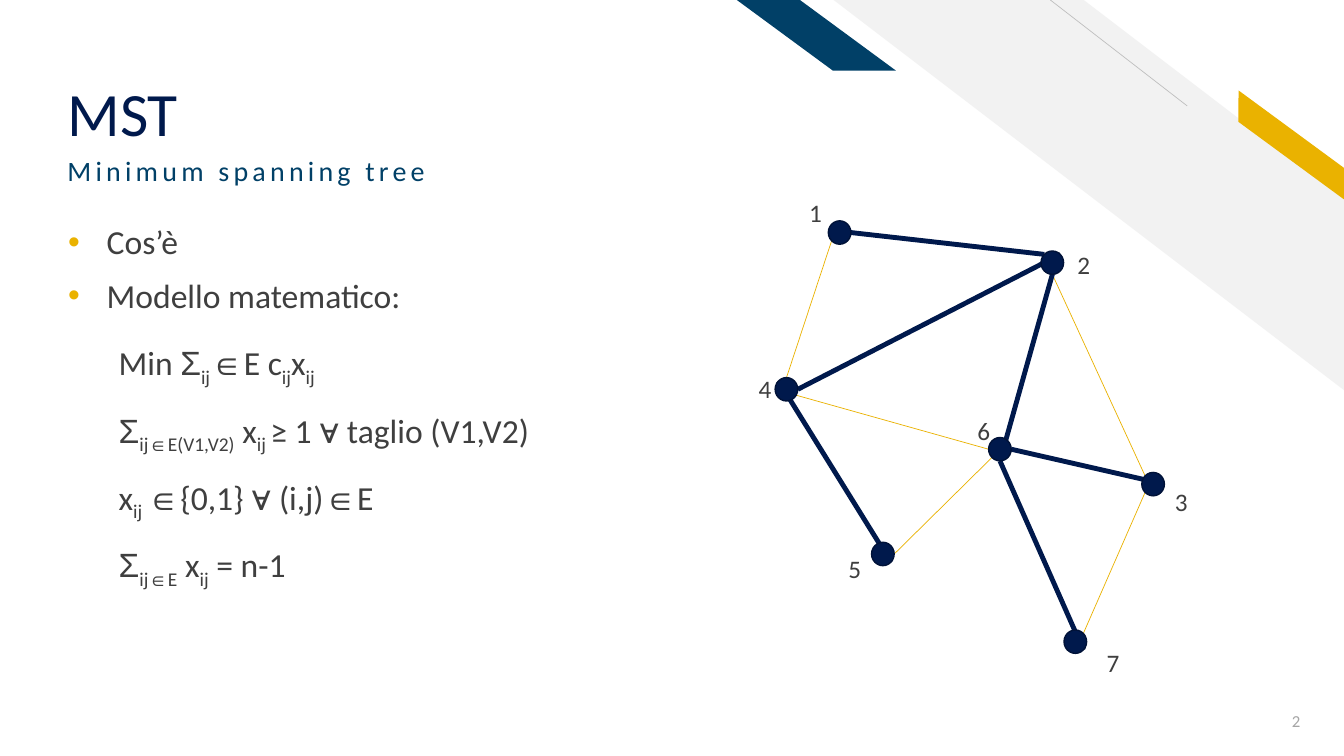
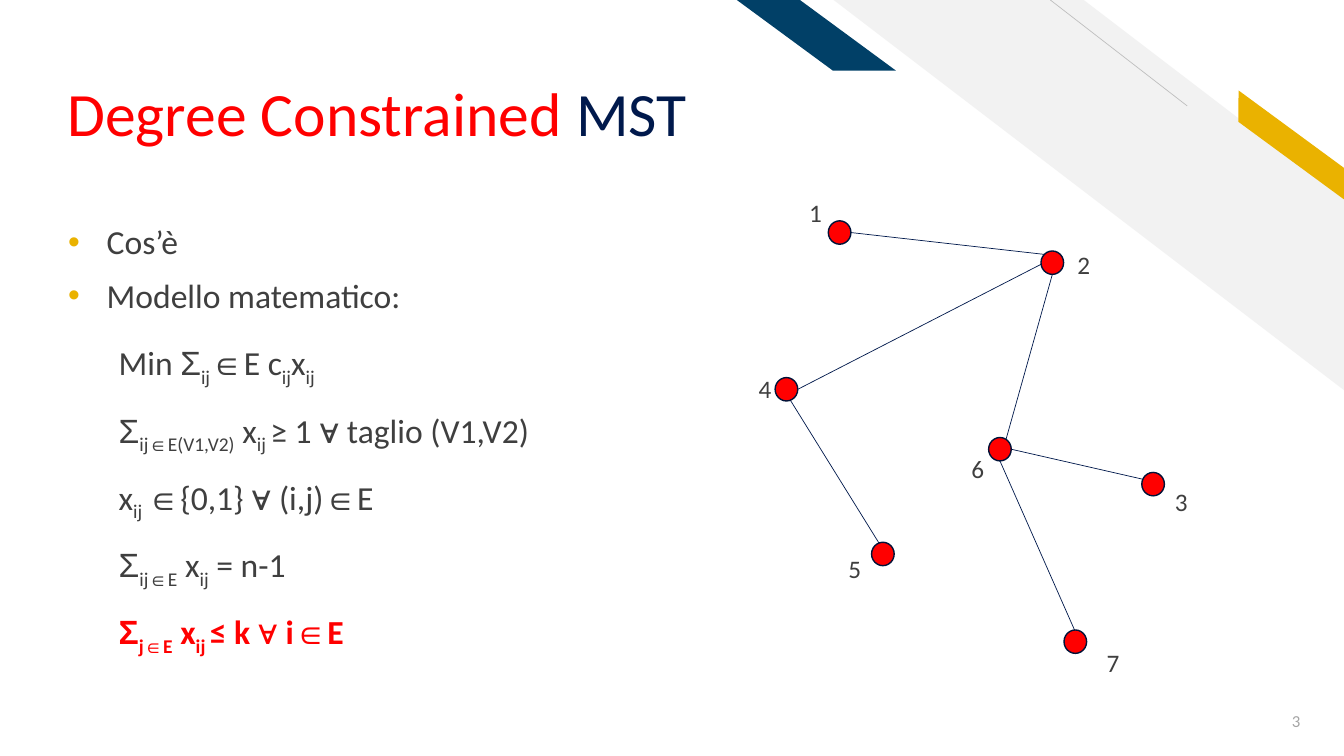
from itertools import groupby

from lxml import etree
from pptx import Presentation
from pptx.dml.color import RGBColor
from pptx.enum import shapes, text
from pptx.oxml.ns import qn
from pptx.util import Cm, Pt

NAVY = RGBColor(0x00, 0x19, 0x4C)
EDGE = RGBColor(0x00, 0x12, 0x38)
BLUE = RGBColor(0x01, 0x40, 0x67)
GOLD = RGBColor(0xEA, 0xB2, 0x00)
RED = RGBColor(0xFF, 0x00, 0x00)
INK = RGBColor(0x3F, 0x3F, 0x3F)
PALE = RGBColor(0xF2, 0xF2, 0xF2)
RULE = RGBColor(0xBF, 0xBF, 0xBF)
GREY = RGBColor(0xA5, 0xA5, 0xA5)
FONT, MATH = "Calibri", "Arial"
SIGNS = "Σ∈∀"

# Node centres, label corners and node size, in centimetres
NODES = {1: (21.16, 5.86), 2: (26.52, 6.62), 3: (29.06, 12.2), 4: (19.82, 9.81),
         5: (22.25, 13.96), 6: (25.2, 11.32), 7: (27.1, 16.17)}
LABELS = {1: (20.14, 4.85), 2: (26.9, 6.17), 3: (29.36, 12.14), 4: (18.87, 9.27),
          5: (21.13, 13.82), 6: (24.38, 10.34), 7: (27.64, 16.18)}
WIDE, HIGH = 0.57, 0.59

# Edges join compass points on two nodes
TREE = [(1, "E", 2, "NW"), (2, "S", 6, "S"), (4, "E", 2, "NE"),
        (6, "E", 3, "E"), (7, "SE", 6, "S"), (4, "NW", 5, "SE")]
SPARE = [(2, "S", 3, "NW"), (4, "W", 6, "W"), (1, "SW", 4, "N"),
         (5, "E", 6, "SW"), (7, "NE", 3, "SW")]

# Underscores open and close a subscript
MODEL = ["Min Σ_ij_∈E c_ij_x_ij_",
         "Σ_ij∈E(V1,V2)_ x_ij _≥ 1 ∀ taglio (V1,V2)",
         "x_ij _∈{0,1} ∀ (i,j)∈E",
         "Σ_ij∈E_ x_ij_ = n-1"]
LIMIT = "Σ_j∈E_ x_ij _≤ k ∀ i∈E"


def write(par, words, size=24, color=INK, bold=False, gap=0):
    """Add runs: math signs get their own font, _.._ is set as subscript."""
    for i, part in enumerate(words.split("_")):
        for sign, chars in groupby(part, lambda c: c in SIGNS):
            run = par.add_run()
            run.text = "".join(chars)
            font = run.font
            font.name = MATH if sign else FONT
            font.size, font.bold = Pt(size), bold
            font.color.rgb = color
            props = run._r.get_or_add_rPr()
            if i % 2:
                props.set("baseline", "-25000")
            if gap:
                props.set("spc", str(gap * 100))


def space(par, line=0.9, before=10, after=0, left=0, dot=False):
    """Set paragraph spacing and indent, with a gold bullet if dot."""
    par.line_spacing = line
    par.space_before, par.space_after = Pt(before), Pt(after)
    props = par._p.get_or_add_pPr()
    props.set("marL", str(Cm(left)))
    props.set("indent", str(-Cm(left) if dot else 0))
    if dot:
        tint = etree.SubElement(props, qn("a:buClr"))
        etree.SubElement(tint, qn("a:srgbClr")).set("val", str(GOLD))
        etree.SubElement(props, qn("a:buFont")).set("typeface", MATH)
        etree.SubElement(props, qn("a:buChar")).set("char", "•")


def site(node, side):
    """Return the compass point of a node's outline."""
    x, y = NODES[node]
    k = 0.71 if len(side) == 2 else 1
    dx = ("E" in side) - ("W" in side)
    dy = ("S" in side) - ("N" in side)
    return x + dx * k * WIDE / 2, y + dy * k * HIGH / 2


class Deck:
    def __init__(self):
        self.prs = Presentation()
        self.prs.slide_width, self.prs.slide_height = Cm(33.87), Cm(19.05)

    def page(self, num):
        """Start a slide with the corner bands and the page number."""
        self.slide = self.prs.slides.add_slide(self.prs.slide_layouts[6])
        kind = shapes.MSO_SHAPE
        self.shape(kind.DIAGONAL_STRIPE, (21.01, 0, 12.86, 9.83), PALE,
                   adj=0.51, flip=True)
        self.line((29.92, 2.67), (26.47, 0), RULE)
        self.shape(kind.PARALLELOGRAM, (30.66, 3.33, 3.76, 0.64), GOLD,
                   adj=0.72, flip=True, turn=36.3)
        self.shape(kind.PARALLELOGRAM, (18.57, 0, 4.01, 1.78), BLUE,
                   adj=1.36, flip=True)
        par = self.text((30.96, 17.65, 2.06, 1.02), str(num), size=12,
                        color=GREY, anchor=text.MSO_ANCHOR.MIDDLE)
        par.alignment = text.PP_ALIGN.RIGHT

    def shape(self, kind, box, fill, edge=None, adj=None, flip=False, turn=0):
        item = self.slide.shapes.add_shape(kind, *map(Cm, box))
        item.shadow.inherit = False
        item.fill.solid()
        item.fill.fore_color.rgb = fill
        if edge is None:
            item.line.fill.background()
        else:
            item.line.color.rgb, item.line.width = edge, Pt(1)
        if adj is not None:
            item.adjustments[0] = adj
        item.rotation = turn
        if flip:
            item._element.spPr.get_or_add_xfrm().set("flipH", "1")

    def line(self, start, end, color, width=0.5):
        item = self.slide.shapes.add_connector(
            shapes.MSO_CONNECTOR.STRAIGHT, *map(Cm, start + end))
        item.line.color.rgb, item.line.width = color, Pt(width)
        etree.SubElement(item._element.spPr, qn("a:effectLst"))

    def text(self, box, words="", wrap=True, anchor=text.MSO_ANCHOR.TOP, **form):
        """Add a text box and return its first paragraph."""
        self.frame = self.slide.shapes.add_textbox(*map(Cm, box)).text_frame
        self.frame.word_wrap = wrap
        self.frame.vertical_anchor = anchor
        par = self.frame.paragraphs[0]
        if words:
            write(par, words, **form)
        return par

    def title(self, *parts):
        par = self.text((1.45, 0.58, 23.14, 3.2), anchor=text.MSO_ANCHOR.BOTTOM)
        self.frame.margin_bottom = 0
        space(par, before=0)
        for words, color in parts:
            write(par, words, size=44, color=color)

    def model(self, limit=None):
        """Add the two bullets and the formulas, the limit in red."""
        space(self.text((1.47, 5.56, 14.5, 1.35), "Cos’è"), left=0.97, dot=True)
        par = self.text((1.47, 6.91, 14.5, 10.01), "Modello matematico:")
        space(par, after=12, left=0.97, dot=True)
        rows = [(row, {}) for row in MODEL]
        if limit:
            rows.append((limit, {"color": RED, "bold": True}))
        for words, form in rows:
            par = self.frame.add_paragraph()
            space(par, line=1.07, before=5, after=8, left=1.27)
            write(par, words, **form)

    def edges(self, pairs, color, width=0.5):
        for a, out, b, into in pairs:
            self.line(site(a, out), site(b, into), color, width)

    def nodes(self, fill, labels):
        for x, y in NODES.values():
            self.shape(shapes.MSO_SHAPE.OVAL,
                       (x - WIDE / 2, y - HIGH / 2, WIDE, HIGH), fill, EDGE)
        for num, spot in labels.items():
            self.text((*spot, 0.84, 1.02), str(num), wrap=False, size=18)


def main():
    deck = Deck()

    deck.page(2)
    deck.title(("MST", NAVY))
    space(deck.text((1.45, 3.84, 20.47, 1.7), "Minimum spanning tree",
                    size=20, color=BLUE, gap=3))
    deck.model()
    deck.edges(SPARE, GOLD)
    deck.edges(TREE, NAVY, 3.5)
    deck.nodes(NAVY, LABELS)

    deck.page(3)
    deck.title(("Degree Constrained ", RED), ("MST", NAVY))
    deck.model(LIMIT)
    deck.edges(TREE, NAVY)
    deck.nodes(RED, {**LABELS, 6: (24.23, 11.3)})

    deck.prs.save("out.pptx")


if __name__ == "__main__":
    main()
